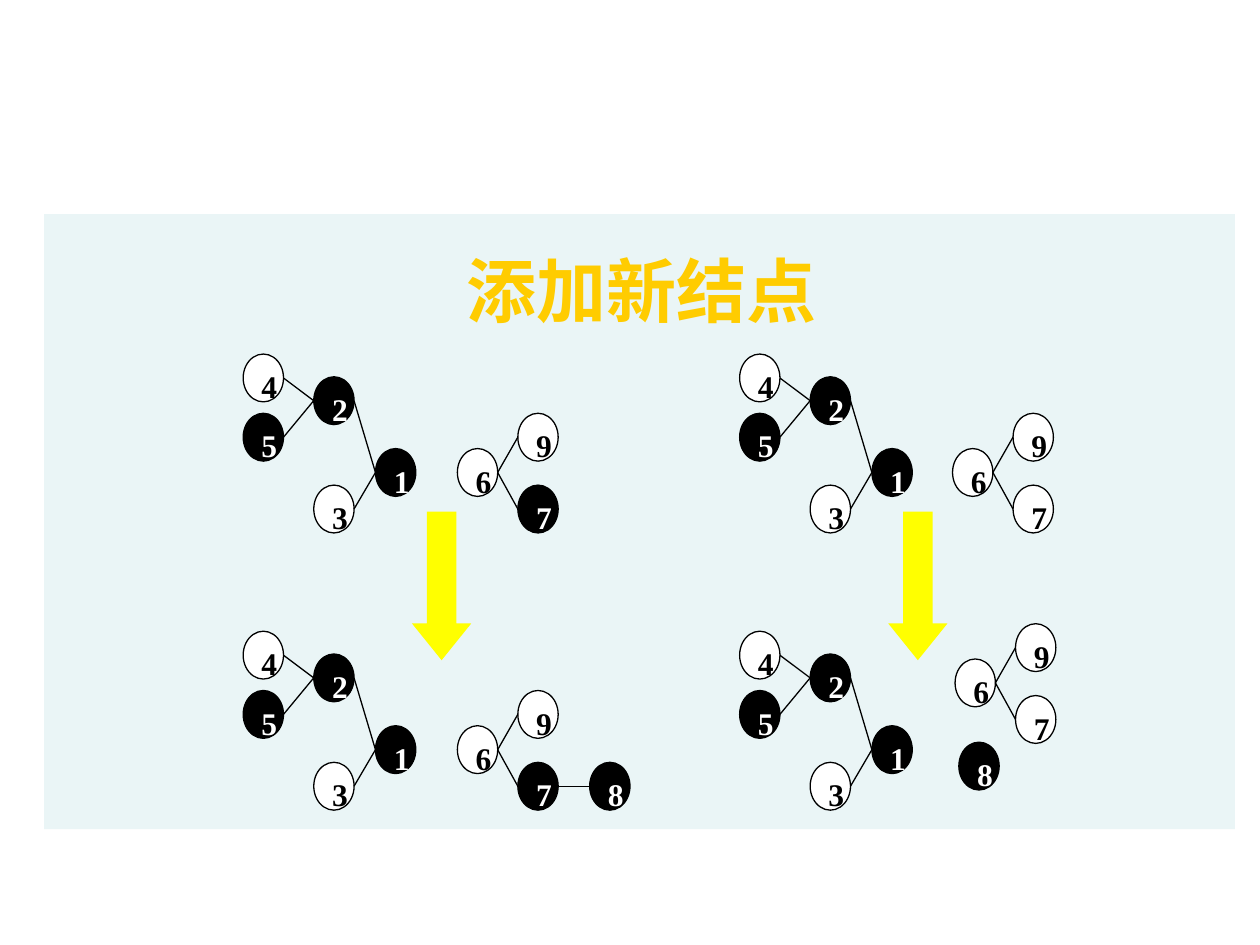
import pptx
import pptx.util
import pptx.dml.color
import pptx.enum.shapes
import pptx.enum.text
import pptx.oxml
import pptx.oxml.ns
from dataclasses import dataclass

Inches = pptx.util.Inches
Shape = pptx.enum.shapes.MSO_SHAPE
Anchor = pptx.enum.text.MSO_ANCHOR


@dataclass(frozen=True)
class Theme:
    black: str = "000000"
    white: str = "FFFFFF"
    gold: str = "FFCC00"
    yellow: str = "FFFF00"
    panel: str = "BBE0E3"
    head: int = 40
    label: int = 18
    rule: float = 0.74


THEME = Theme()
WIDE, HIGH = 0.32, 0.38
LEFT_TREE = {1: (1.05, 0.75), 2: (0.56, 0.18), 3: (0.56, 1.04),
             4: (0, 0), 5: (0, 0.47)}
LEFT_LINKS = [(4, 2), (5, 2), (2, 1), (3, 1)]
RIGHT_TREE = {6: (0, 0.28), 7: (0.48, 0.57), 9: (0.48, 0)}
RIGHT_LINKS = [(6, 9), (6, 7)]


def color(code):
    return pptx.dml.color.RGBColor.from_string(code)


def box(at):
    return [Inches(n) for n in at]


def child(node, xml):
    space = pptx.oxml.ns.nsdecls("a")
    node.append(pptx.oxml.parse_xml(xml.replace(">", f" {space}>", 1)))


def write(shape, text, size, font, ink, anchor=Anchor.TOP):
    frame = shape.text_frame
    frame.word_wrap = True
    frame.auto_size = pptx.enum.text.MSO_AUTO_SIZE.NONE
    frame.vertical_anchor = anchor
    frame.margin_left = frame.margin_right = Inches(0.1)
    frame.margin_top = frame.margin_bottom = Inches(0.05)
    para = frame.paragraphs[0]
    para.alignment = pptx.enum.text.PP_ALIGN.CENTER
    run = para.add_run()
    run.text = text
    run.font.size = pptx.util.Pt(size)
    run.font.name = font
    run.font.bold = True
    run.font.color.rgb = color(ink)
    return run


def solid(shapes, kind, at, fill, line=None):
    shape = shapes.add_shape(kind, *box(at))
    shape.shadow.inherit = False
    shape.fill.solid()
    shape.fill.fore_color.rgb = color(fill)
    if line:
        shape.line.color.rgb = color(line)
        shape.line.width = pptx.util.Pt(THEME.rule)
    else:
        shape.line.fill.background()
    return shape


def node(shapes, num, spot, dark):
    fill, ink = THEME.white, THEME.black
    if dark:
        fill, ink = ink, fill
    shape = solid(shapes, Shape.OVAL, (*spot, WIDE, HIGH), fill, THEME.black)
    write(shape, str(num), size=THEME.label, font="Times New Roman", ink=ink)


def link(shapes, start, end):
    kind = pptx.enum.shapes.MSO_CONNECTOR.STRAIGHT
    ends = box((start[0] + WIDE, start[1] + HIGH / 2, end[0], end[1] + HIGH / 2))
    line = shapes.add_connector(kind, *ends)
    line.line.color.rgb = color(THEME.black)
    line.line.width = pptx.util.Pt(THEME.rule)
    child(line.element.spPr, "<a:effectLst></a:effectLst>")


def shift(tree, left, top):
    return {num: (left + x, top + y) for num, (x, y) in tree.items()}


def graph(slide, left, right, dark, extra=None, links=()):
    shapes = slide.shapes.add_group_shape().shapes
    spots = {**shift(LEFT_TREE, *left), **shift(RIGHT_TREE, *right),
             **(extra or {})}
    for num, spot in sorted(spots.items()):
        node(shapes, num, spot, num in dark)
    for start, end in [*LEFT_LINKS, *RIGHT_LINKS, *links]:
        link(shapes, spots[start], spots[end])


def arrow(slide, left):
    shape = solid(slide.shapes, Shape.DOWN_ARROW, (left, 4.06, 0.47, 1.18),
                  THEME.yellow)
    shape.adjustments[0] = 0.5
    shape.adjustments[1] = 0.62


def title(slide, text):
    shape = slide.shapes.title
    shape.left, shape.top, shape.width, shape.height = box((0.59, 1.94, 9, 0.71))
    run = write(shape, text, size=THEME.head, font="Arial", ink=THEME.gold,
                anchor=Anchor.MIDDLE)
    shade = ('<a:effectLst><a:outerShdw dist="35921" dir="2700000">'
             f'<a:srgbClr val="{THEME.black}"/></a:outerShdw></a:effectLst>')
    props = run.font.fill
    child(run._r.rPr, shade)
    fonts = run._r.rPr.find(pptx.oxml.ns.qn("a:latin"))
    run._r.rPr.append(fonts)


def panel(slide):
    shape = solid(slide.shapes, Shape.RECTANGLE, (0.35, 1.7, 9.45, 4.88),
                  THEME.panel)
    tint = shape.element.spPr.find(".//" + pptx.oxml.ns.qn("a:srgbClr"))
    child(tint, '<a:alpha val="30000"></a:alpha>'.replace("></", "></", 1))
    slide.shapes.title.element.addprevious(shape.element)


def main():
    deck = pptx.Presentation()
    deck.slide_width, deck.slide_height = Inches(10), Inches(7.5)
    slide = deck.slides.add_slide(deck.slide_layouts[5])
    title(slide, "添加新结点")
    panel(slide)
    graph(slide, (1.93, 2.81), (3.63, 3.28), {1, 2, 5, 7})
    graph(slide, (1.93, 5.01), (3.63, 5.48), {1, 2, 5, 7, 8},
          extra={8: (4.68, 6.05)}, links=[(7, 8)])
    graph(slide, (5.87, 2.81), (7.56, 3.28), {1, 2, 5})
    graph(slide, (5.87, 5.01), (7.58, 4.95), {1, 2, 5, 8},
          extra={8: (7.61, 5.89)})
    for left in (3.27, 7.05):
        arrow(slide, left)
    deck.save("out.pptx")


main()
